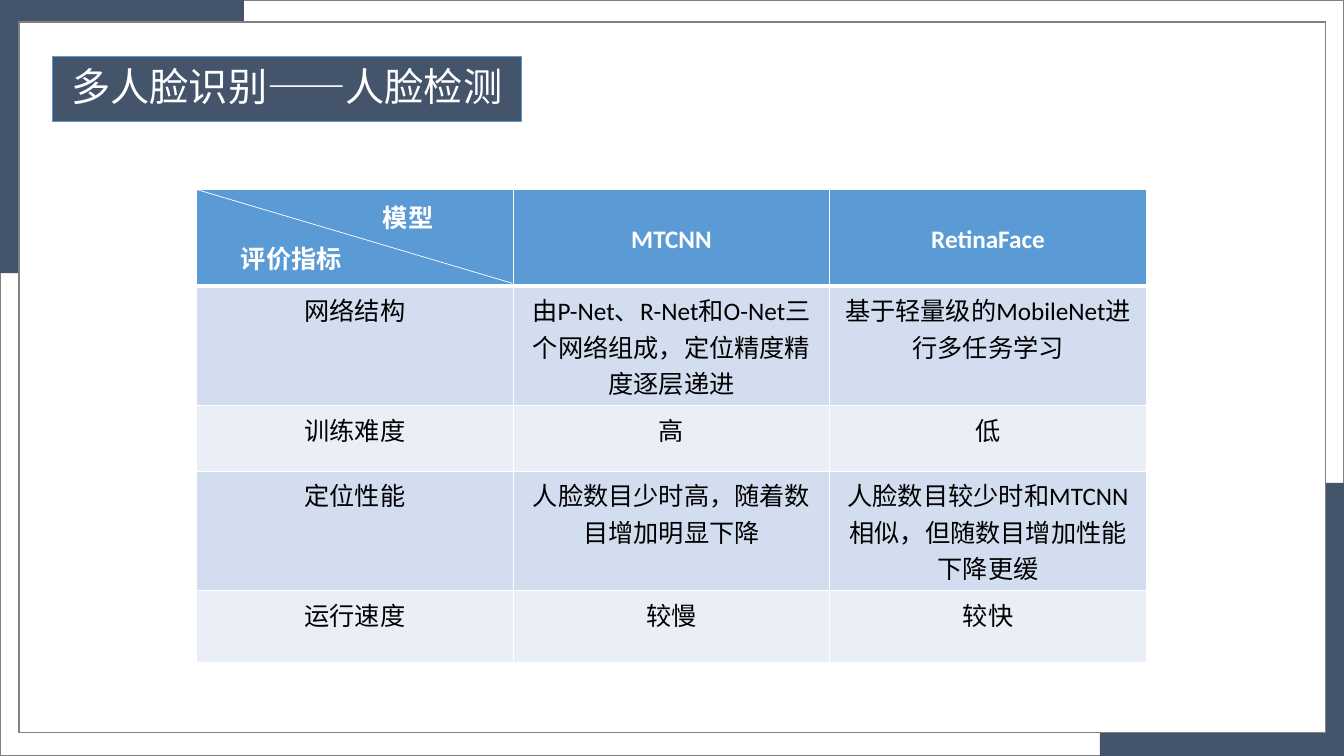
from pptx import Presentation, dml, oxml, util as u
from pptx.dml import color
from pptx.enum import shapes, text
from pptx.oxml import ns

HUES = {"slate": "44546A", "blue": "5B9BD5", "gray": "808080", "white": "FFFFFF",
        "black": "000000", "dark": "D2DEEF", "light": "EAEFF7"}
HAN = "Noto Sans CJK SC"
TITLE = {"size": u.Pt(28), "name": HAN, "bold": False}
HEAD = {"size": u.Pt(18), "name": "Calibri", "bold": True}
BODY = {**HEAD, "bold": False}
MID = text.PP_ALIGN.CENTER
ROWS = [
    ["", "MTCNN", "RetinaFace"],
    ["网络结构", "由P-Net、R-Net和O-Net三个网络组成，定位精度精度逐层递进",
     "基于轻量级的MobileNet进行多任务学习"],
    ["训练难度", "高", "低"],
    ["定位性能", "人脸数目少时高，随着数目增加明显下降",
     "人脸数目较少时和MTCNN相似，但随数目增加性能下降更缓"],
    ["运行速度", "较慢", "较快"],
]
HIGHS = [0.96, 1.03, 0.65, 1.03, 0.71]


def rgb(hue):
    """Return the named colour."""
    return color.RGBColor.from_string(HUES[hue])


def child(node, tag, **attrs):
    """Append a drawing element to a node."""
    part = oxml.parse_xml(f"<a:{tag} {ns.nsdecls('a')}/>")
    for key, val in attrs.items():
        part.set(key, str(val))
    node.append(part)
    return part


def write(frame, words, style, hue, align=None):
    """Write one styled paragraph into a text frame."""
    para = frame.paragraphs[0]
    para.alignment = align
    run = para.add_run()
    run.text = words
    for key, val in style.items():
        setattr(run.font, key, val)
    run.font.color.rgb = rgb(hue)
    child(run.font._element, "ea", typeface=HAN)
    return para


def block(slide, box, fill=None, line=None, width=1):
    """Draw a rectangle with optional fill and outline."""
    rect = slide.shapes.add_shape(shapes.MSO_SHAPE.RECTANGLE, *map(u.Inches, box))
    rect.shadow.inherit = False
    if fill:
        rect.fill.solid()
        rect.fill.fore_color.rgb = rgb(fill)
    else:
        rect.fill.background()
    if line:
        rect.line.color.rgb = rgb(line)
        rect.line.width = u.Pt(width)
    else:
        rect.line.fill.background()
    return rect


def frame(slide, box):
    """Draw the page border with its two corner blocks."""
    x, y, w, h = box
    cw, ch = 2.42, 2.71
    block(slide, box, line="gray")
    block(slide, (x + w - cw, y + h - ch, cw, ch), "slate")
    block(slide, (x, y, cw, ch), "slate")
    block(slide, (x + 0.19, y + 0.22, w - 0.37, h - 0.45), "white", "gray")


def title(slide, box):
    """Draw the heading bar."""
    bar = block(slide, box, "slate", "blue", 0.75)
    bar.text_frame.word_wrap = True
    bar.text_frame.vertical_anchor = text.MSO_ANCHOR.MIDDLE
    para = write(bar.text_frame, "多人脸识别——人脸检测", TITLE, "white", MID)
    para.line_spacing = 0.9


def edge(cell, row):
    """Give a cell white borders, thick under the header."""
    props = cell._tc.get_or_add_tcPr()
    thick = {(0, "lnB"), (1, "lnT")}
    for tag in ("lnL", "lnR", "lnT", "lnB"):
        width = u.Pt(3 if (row, tag) in thick else 1)
        fill = child(child(props, tag, w=width), "solidFill")
        child(fill, "srgbClr", val=HUES["white"])


def grid(slide, box):
    """Draw the comparison table."""
    shape = slide.shapes.add_table(len(ROWS), len(ROWS[0]), *map(u.Inches, box))
    table = shape.table
    table.first_row = table.horz_banding = False
    for col in table.columns:
        col.width = u.Inches(box[2] / len(ROWS[0]))
    for r, (row, high) in enumerate(zip(ROWS, HIGHS)):
        table.rows[r].height = u.Inches(high)
        fill = "blue" if r == 0 else "dark" if r % 2 else "light"
        for c, words in enumerate(row):
            cell = table.cell(r, c)
            edge(cell, r)
            cell.fill.solid()
            cell.fill.fore_color.rgb = rgb(fill)
            if r == 0:
                cell.margin_top = u.Inches(0.35)
            if words:
                style, hue = (BODY, "black") if r else (HEAD, "white")
                write(cell.text_frame, words, style, hue, MID)


def corner(slide, box):
    """Split the first header cell with a diagonal and two labels."""
    x, y, w, h = box
    line = slide.shapes.add_connector(
        shapes.MSO_CONNECTOR.STRAIGHT, *map(u.Inches, (x, y, x + w, y + h)))
    line.line.color.rgb = rgb("white")
    line.line.width = u.Pt(0.5)
    child(line._element.spPr, "effectLst")
    for words, dx, dy, wide in (("模型", 1.75, 0.08, 0.75), ("评价指标", 0.34, 0.48, 1.29)):
        label = slide.shapes.add_textbox(*map(u.Inches, (x + dx, y + dy, wide, 0.42)))
        label.text_frame.word_wrap = False
        label.text_frame.auto_size = text.MSO_AUTO_SIZE.SHAPE_TO_FIT_TEXT
        write(label.text_frame, words, HEAD, "white")


def main():
    """Build and save the slide."""
    deck = Presentation()
    deck.slide_width, deck.slide_height = u.Inches(13.33), u.Inches(7.5)
    slide = deck.slides.add_slide(deck.slide_layouts[6])
    frame(slide, (0, 0, 13.33, 7.5))
    title(slide, (0.52, 0.56, 4.65, 0.65))
    grid(slide, (1.95, 1.88, 9.42, sum(HIGHS)))
    corner(slide, (1.95, 1.88, 3.13, 0.93))
    deck.save("out.pptx")


if __name__ == "__main__":
    main()
